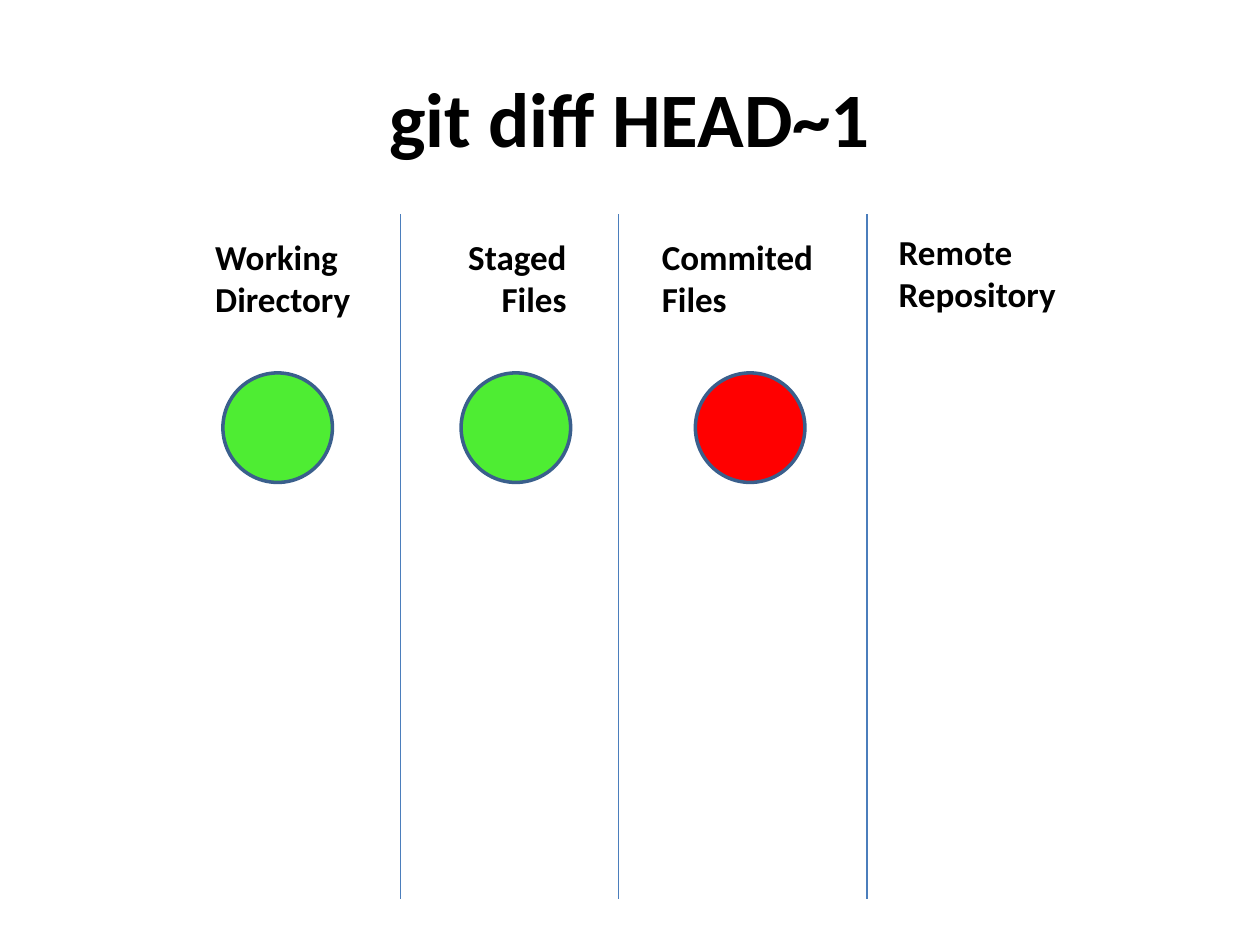
import pptx
import pptx.dml.color
import pptx.enum.shapes
import pptx.enum.text
import pptx.util
from lxml import etree

Pt = pptx.util.Pt
RGB = pptx.dml.color.RGBColor.from_string
Align = pptx.enum.text.PP_ALIGN
Anchor = pptx.enum.text.MSO_ANCHOR
Kind = pptx.enum.shapes.MSO_SHAPE

THEME = {
    "title": {"name": "Calibri", "size": Pt(44), "bold": True},
    "label": {"name": "Calibri", "size": Pt(20), "bold": True},
    "ink": RGB("000000"),
    "rule": RGB("4B7EBC"),
    "edge": RGB("3A5F8C"),
    "same": RGB("4EED33"),
    "diff": RGB("FF0000"),
}

deck = pptx.Presentation()
deck.slide_width, deck.slide_height = Pt(720), Pt(540)
slide = deck.slides.add_slide(deck.slide_layouts[6])
shapes = slide.shapes


def add_text(lines, box, style, align, anchor=Anchor.TOP, wrap=False):
    frame = shapes.add_textbox(*map(Pt, box)).text_frame
    frame.word_wrap = wrap
    frame.vertical_anchor = anchor
    frame.text = "\n".join(lines)
    for para in frame.paragraphs:
        para.alignment = align
        for key, value in THEME[style].items():
            setattr(para.font, key, value)
        para.font.color.rgb = THEME["ink"]


add_text(["git diff HEAD~1"], (36, 21.6, 648, 90), "title",
         Align.CENTER, Anchor.MIDDLE, True)

# Column heads: lines, left, top, width, alignment
heads = [
    (["Working", "Directory"], 115.9, 131, 92.2, Align.LEFT),
    (["Staged", "Files"], 259.6, 131, 71.3, Align.RIGHT),
    (["Commited", "Files"], 371.1, 131, 101.5, Align.LEFT),
    (["Remote", "Repository"], 506.5, 128.2, 105.1, Align.LEFT),
]
for lines, left, top, width, align in heads:
    add_text(lines, (left, top, width, 55.4), "label", align)

# Column rules
for x in (229, 353.5, 495.4):
    rule = shapes.add_connector(pptx.enum.shapes.MSO_CONNECTOR.STRAIGHT,
                                Pt(x), Pt(122.4), Pt(x), Pt(514))
    rule.line.color.rgb = THEME["rule"]
    rule.line.width = Pt(0.75)
    props = rule._element.spPr
    etree.SubElement(props, pptx.oxml.ns.qn("a:effectLst"))

# State of the file in each column
for left, state in ((397.4, "diff"), (263.5, "same"), (127.4, "same")):
    dot = shapes.add_shape(Kind.OVAL, Pt(left), Pt(213.1), Pt(62.6), Pt(62.6))
    dot.shadow.inherit = False
    dot.fill.solid()
    dot.fill.fore_color.rgb = THEME[state]
    dot.line.color.rgb = THEME["edge"]
    dot.line.width = Pt(2)

deck.save("out.pptx")
